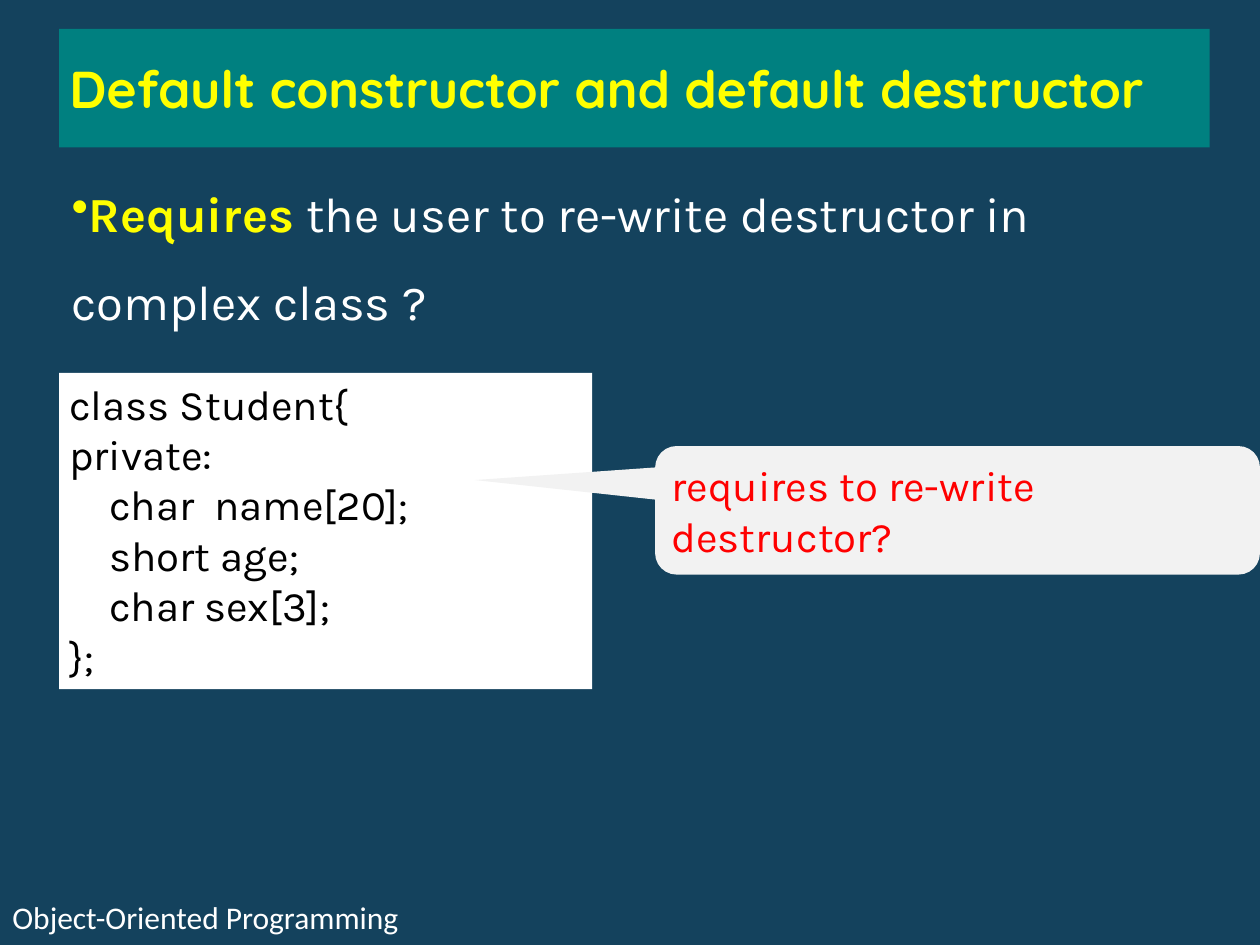
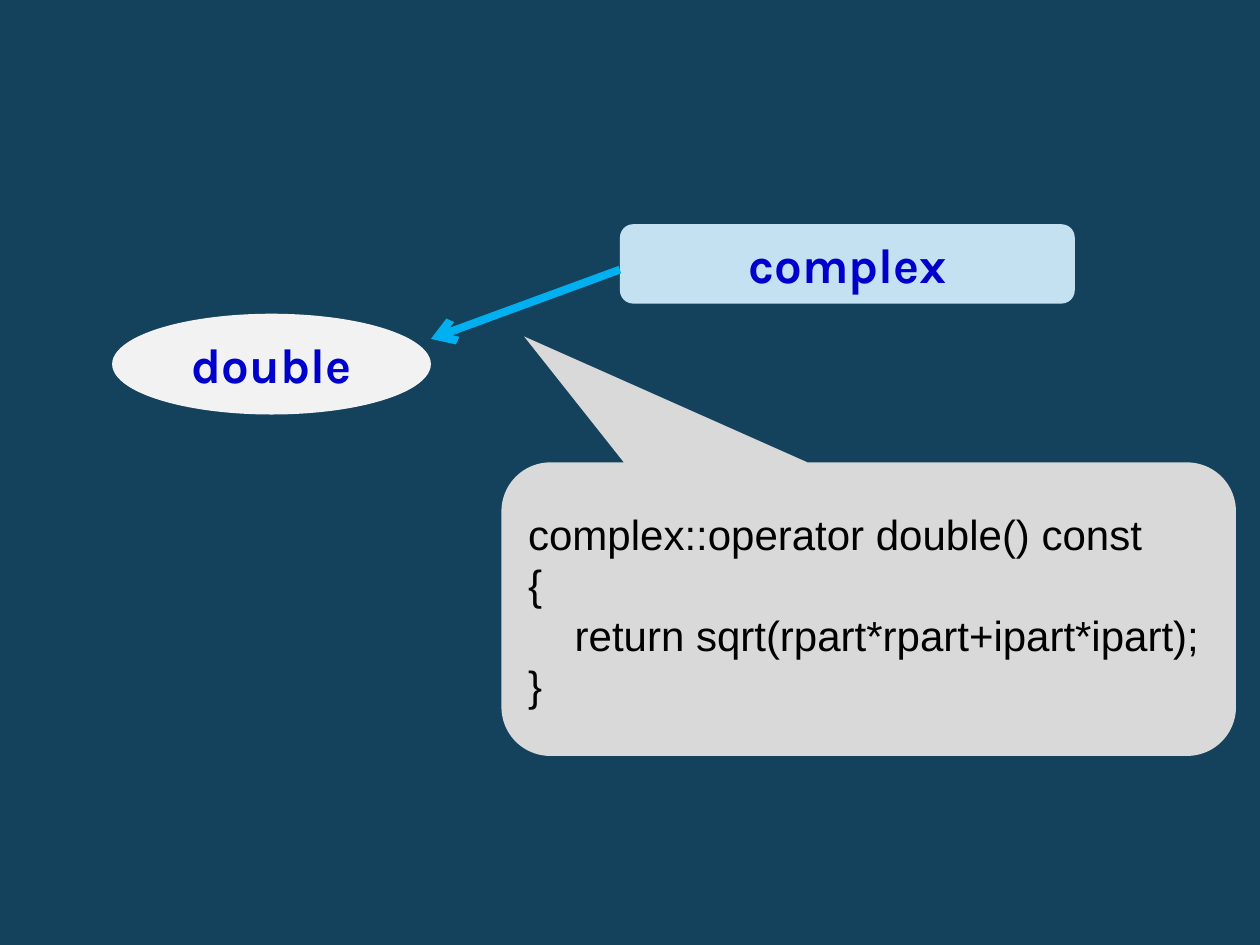
from lxml import etree
from pptx import Presentation
from pptx.dml.color import RGBColor
from pptx.enum.shapes import MSO_CONNECTOR as Connector, MSO_SHAPE as Shape
from pptx.enum.text import MSO_ANCHOR as Anchor, PP_ALIGN as Align
from pptx.oxml.ns import qn
from pptx.util import Inches, Pt

NAVY, TEAL, SKY, PALE_BLUE = "14425D", "008080", "00B0F0", "C4E1F2"
WHITE, LIGHT_GRAY, GRAY, BLACK = "FFFFFF", "F2F2F2", "D9D9D9", "000000"
YELLOW, RED, BLUE = "FFFF00", "FF0000", "0000CC"
BODY_FONT, TITLE_FONT, FOOTER_FONT, CODE_FONT = "Karla", "Quicksand", "Calibri", "Arial"
TIGHT, NORMAL = (0.08, 0.04), (0.1, 0.05)


def color(hex_string):
    return RGBColor.from_string(hex_string)


def format_run(run, size, font, ink, bold=False):
    run.font.size = Pt(size)
    run.font.name = font
    run.font.color.rgb = color(ink)
    run.font.bold = bold


def set_frame(text_frame, insets=NORMAL, anchor=Anchor.TOP):
    text_frame.word_wrap = True
    text_frame.vertical_anchor = anchor
    text_frame.margin_left = text_frame.margin_right = Inches(insets[0])
    text_frame.margin_top = text_frame.margin_bottom = Inches(insets[1])


def write(text_frame, text, size, font, ink, bold=False, align=Align.LEFT):
    text_frame.text = text
    for paragraph in text_frame.paragraphs:
        paragraph.alignment = align
        for run in paragraph.runs:
            format_run(run, size, font, ink, bold)


def add_block(slide, kind, box, fill, insets=NORMAL, anchor=Anchor.TOP):
    """Borderless filled shape, ready for text."""
    shape = slide.shapes.add_shape(kind, *map(Inches, box))
    shape.shadow.inherit = False
    shape.fill.solid()
    shape.fill.fore_color.rgb = color(fill)
    shape.line.fill.background()
    set_frame(shape.text_frame, insets, anchor)
    return shape


def add_text_box(slide, box):
    text_frame = slide.shapes.add_textbox(*map(Inches, box)).text_frame
    set_frame(text_frame)
    return text_frame


def add_slide(presentation):
    slide = presentation.slides.add_slide(presentation.slide_layouts[6])
    slide.background.fill.solid()
    slide.background.fill.fore_color.rgb = color(NAVY)
    return slide


def add_title(slide, box, text):
    band = add_block(slide, Shape.RECTANGLE, box, TEAL, TIGHT, Anchor.MIDDLE)
    write(band.text_frame, text, 29.6, TITLE_FONT, YELLOW, bold=True)


def add_footer(slide, box, text):
    write(add_text_box(slide, box), text, 18, FOOTER_FONT, WHITE)


def add_question(slide, box, keyword, rest):
    """Bulleted line that opens with a highlighted keyword."""
    paragraph = add_text_box(slide, box).paragraphs[0]
    paragraph.line_spacing = 1.5
    bullet = etree.SubElement(paragraph._p.get_or_add_pPr(), qn("a:buChar"))
    bullet.set("char", "•")
    for text, ink, bold in ((keyword, YELLOW, True), (rest, WHITE, False)):
        run = paragraph.add_run()
        run.text = text
        format_run(run, 28, BODY_FONT, ink, bold)


def add_code_panel(slide, box, code):
    panel = add_block(slide, Shape.RECTANGLE, box, WHITE, TIGHT)
    write(panel.text_frame, code, 24, BODY_FONT, BLACK)


def add_callout(slide, box, tip, text, fill, font, ink, insets=NORMAL):
    """Rounded callout whose pointer ends at tip, given in slide inches."""
    left, top, width, height = box
    callout = add_block(slide, Shape.ROUNDED_RECTANGULAR_CALLOUT, box, fill,
                        insets, Anchor.MIDDLE)
    callout.adjustments[0] = (tip[0] - left) / width - 0.5
    callout.adjustments[1] = (tip[1] - top) / height - 0.5
    write(callout.text_frame, text, 24, font, ink)


def add_type_node(slide, kind, box, name, fill):
    node = add_block(slide, kind, box, fill)
    write(node.text_frame, name, 28, BODY_FONT, BLUE, bold=True, align=Align.CENTER)


def add_arrow(slide, start, end):
    arrow = slide.shapes.add_connector(Connector.STRAIGHT, *map(Inches, start + end))
    arrow.line.color.rgb = color(SKY)
    arrow.line.width = Pt(4.5)
    etree.SubElement(arrow.line._get_or_add_ln(), qn("a:tailEnd")).set("type", "arrow")
    etree.SubElement(arrow._element.spPr, qn("a:effectLst"))


def build_destructor_slide(presentation):
    slide = add_slide(presentation)
    margin = 0.47
    add_footer(slide, (0, 7.08, 4.01, 0.4), "Object-Oriented Programming")
    add_question(slide, (margin, 1.17, 9.24, 1.51), "Requires ",
                 "the user to re-write destructor in complex class ?")
    add_title(slide, (margin, 0.23, 9.13, 0.94),
              "Default constructor and default destructor")
    add_code_panel(slide, (margin, 2.96, 4.23, 2.51), "\n".join((
        "class Student{",
        "private:",
        "    char  name[20];",
        "    short age;",
        "    char sex[3];",
        "};")))
    add_callout(slide, (5.2, 3.54, 4.8, 1.02), (3.77, 3.81),
                "requires to re-write destructor?",
                LIGHT_GRAY, BODY_FONT, RED, TIGHT)


def build_conversion_slide(presentation):
    slide = add_slide(presentation)
    add_type_node(slide, Shape.OVAL, (0.89, 2.49, 2.53, 0.8), "double", LIGHT_GRAY)
    add_type_node(slide, Shape.ROUNDED_RECTANGLE, (4.92, 1.78, 3.61, 0.63),
                  "complex", PALE_BLUE)
    add_callout(slide, (3.98, 3.67, 5.83, 2.33), (4.16, 2.67), "\n".join((
        "complex::operator double() const",
        "{",
        "    return sqrt(rpart*rpart+ipart*ipart);",
        "}")), GRAY, CODE_FONT, BLACK)
    add_arrow(slide, (4.92, 2.14), (3.42, 2.69))


def main():
    presentation = Presentation()
    presentation.slide_width = Inches(10)
    presentation.slide_height = Inches(7.5)
    build_destructor_slide(presentation)
    build_conversion_slide(presentation)
    presentation.save("out.pptx")


if __name__ == "__main__":
    main()
